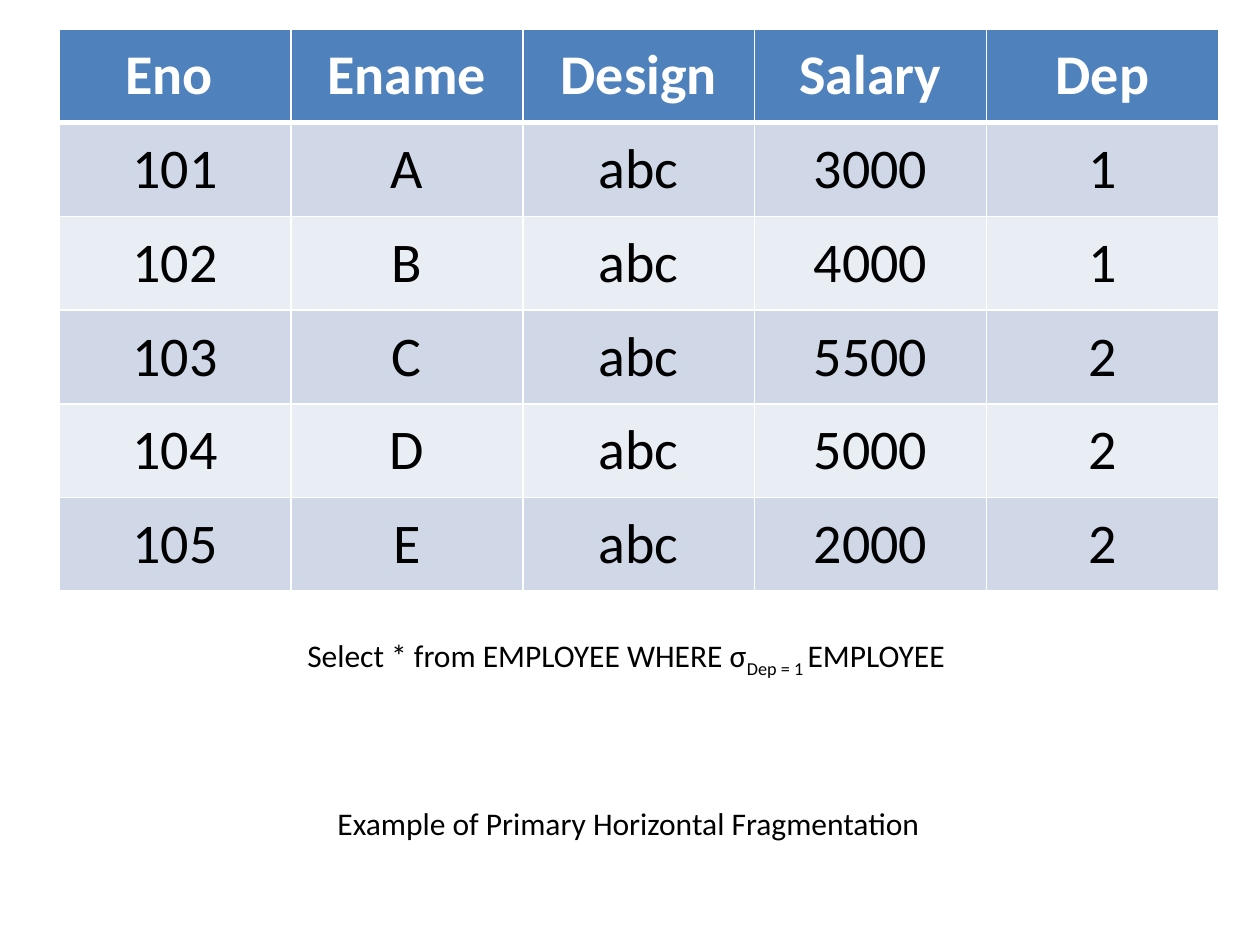
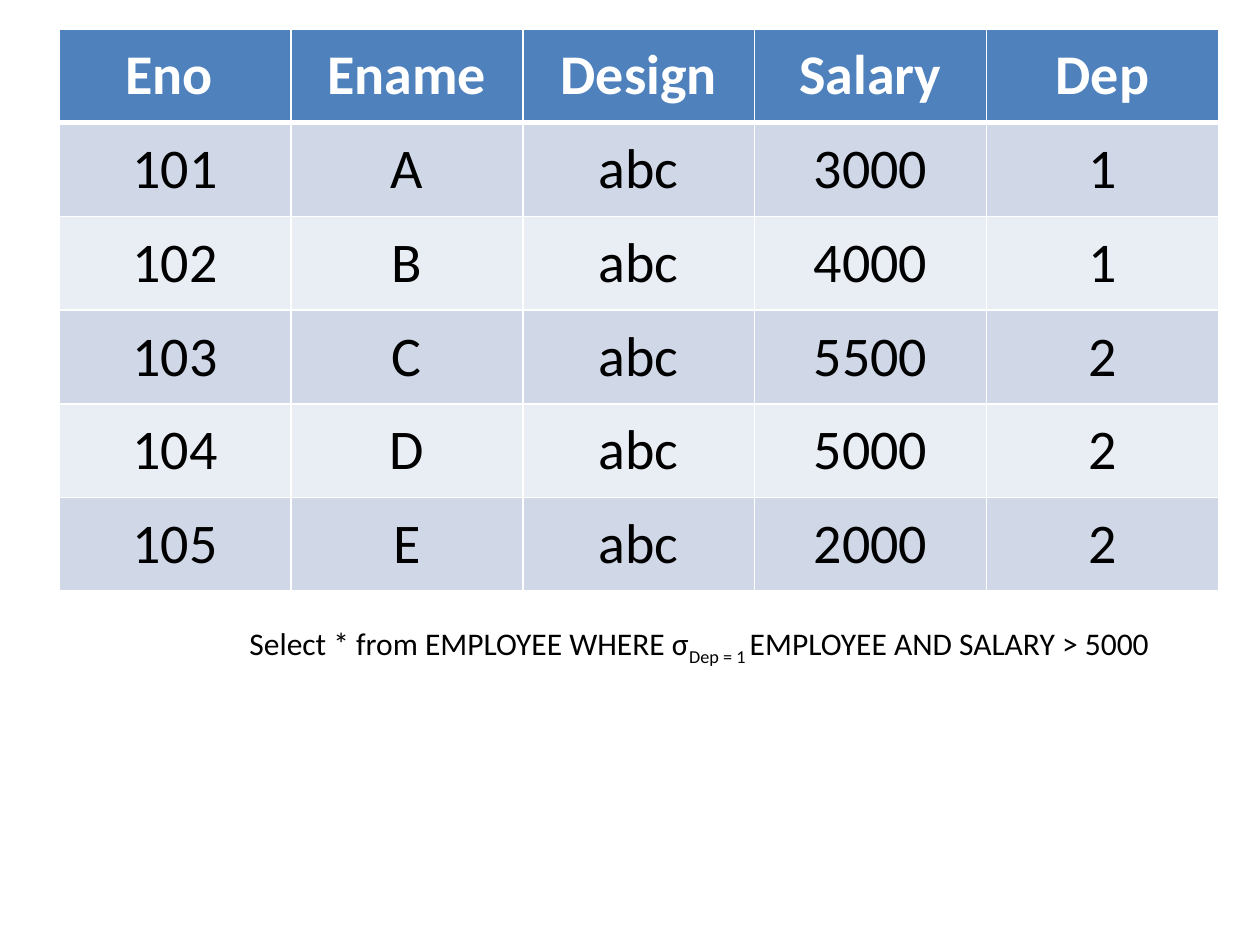
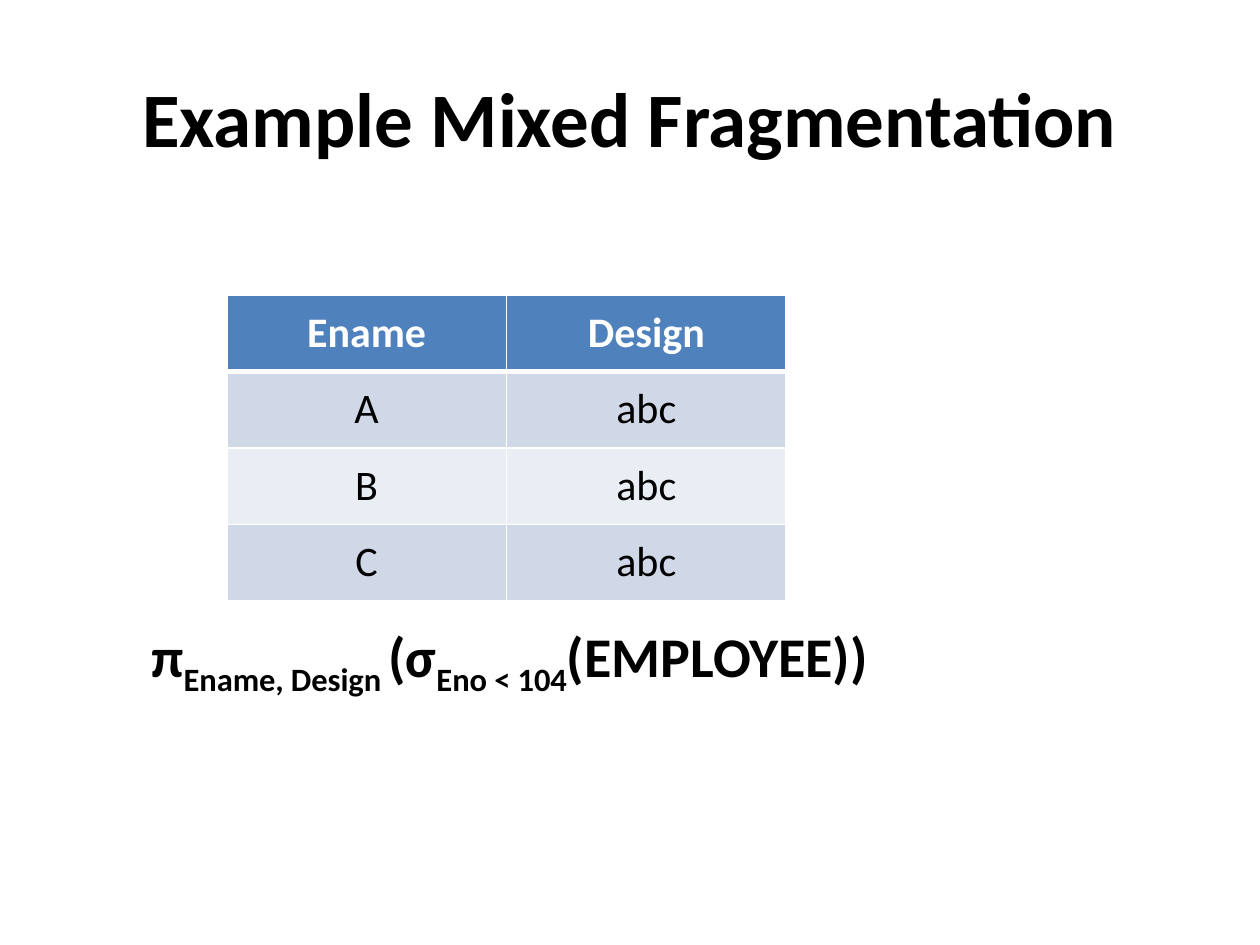
from lxml.etree import SubElement
from pptx import Presentation
from pptx.dml.color import RGBColor
from pptx.enum.text import MSO_ANCHOR, MSO_AUTO_SIZE, PP_ALIGN
from pptx.oxml.ns import qn
from pptx.util import Inches, Pt

FONT = "Calibri"
BLACK = RGBColor(0x00, 0x00, 0x00)
WHITE = RGBColor(0xFF, 0xFF, 0xFF)
HEADER_BLUE = RGBColor(0x4F, 0x81, 0xBD)
BAND_DARK = RGBColor(0xD0, 0xD8, 0xE8)
BAND_LIGHT = RGBColor(0xE9, 0xED, 0xF4)

TITLE_AND_CONTENT = 1
BLANK = 6

EMPLOYEES = [
    ["Eno ", "Ename", "Design", "Salary", "Dep"],
    ["101", "A", "abc", "3000", "1"],
    ["102", "B", "abc", "4000", "1"],
    ["103", "C", "abc", "5500", "2"],
    ["104", "D", "abc", "5000", "2"],
    ["105", "E", "abc", "2000", "2"],
]
MIXED_FRAGMENT = [row[1:3] for row in EMPLOYEES[:4]]


def style_paragraph(paragraph, size, color=BLACK, bold=False):
    font = paragraph.font
    font.name = FONT
    font.size = Pt(size)
    font.bold = bold
    font.color.rgb = color


def add_spans(paragraph, spans):
    for position, text in enumerate(spans):
        span = paragraph.add_run()
        span.text = text
        if position % 2:
            span.font._element.set("baseline", "-25000")


def add_border(cell, side, width):
    line = SubElement(cell._tc.get_or_add_tcPr(), qn(f"a:ln{side}"), w=str(Pt(width)))
    fill = SubElement(line, qn("a:solidFill"))
    SubElement(fill, qn("a:srgbClr"), val=str(WHITE))


def style_cell(cell, text, row, size):
    header = row == 0
    for side, thick_row in (("L", None), ("R", None), ("T", 1), ("B", 0)):
        add_border(cell, side, 3 if row == thick_row else 1)
    cell.fill.solid()
    cell.fill.fore_color.rgb = HEADER_BLUE if header else (BAND_LIGHT, BAND_DARK)[row % 2]
    cell.vertical_anchor = MSO_ANCHOR.MIDDLE
    cell.margin_left = cell.margin_right = Inches(0.07)
    cell.margin_top = cell.margin_bottom = Inches(0.1)
    cell.text = text
    paragraph = cell.text_frame.paragraphs[0]
    paragraph.alignment = PP_ALIGN.CENTER
    style_paragraph(paragraph, size, WHITE if header else BLACK, header)


def add_grid(page, records, left, top, column_width, row_height, size):
    rows, columns = len(records), len(records[0])
    table = page.shapes.add_table(
        rows, columns, Inches(left), Inches(top),
        Inches(column_width * columns), Inches(row_height * rows),
    ).table
    for row, record in enumerate(records):
        for column, text in enumerate(record):
            style_cell(table.cell(row, column), text, row, size)


def add_employee_table(page):
    add_grid(page, EMPLOYEES, 0.47, 0.23, 1.84, 0.73, 32)


def add_text_line(page, left, top, width, spans):
    box = page.shapes.add_textbox(Inches(left), Inches(top), Inches(width), Inches(0.4))
    box.text_frame.word_wrap = False
    paragraph = box.text_frame.paragraphs[0]
    style_paragraph(paragraph, 18)
    add_spans(paragraph, spans)


def fill_title(page, text):
    title = page.shapes.title
    title.text = text
    style_paragraph(title.text_frame.paragraphs[0], 44, bold=True)


def fill_body(page, spans, top_margin, indent, size, bold=False):
    body = page.placeholders[1]
    body.left, body.top = Inches(0.5), Inches(1.75)
    body.width, body.height = Inches(9), Inches(4.95)
    frame = body.text_frame
    frame.auto_size = MSO_AUTO_SIZE.NONE
    frame.margin_top = Inches(top_margin)
    paragraph = frame.paragraphs[0]
    paragraph.space_before = Pt(0)
    properties = paragraph._p.get_or_add_pPr()
    properties.set("marL", str(Inches(indent)))
    properties.set("indent", "0")
    SubElement(properties, qn("a:buNone"))
    style_paragraph(paragraph, size, bold=bold)
    add_spans(paragraph, spans)


def build_primary_fragmentation(deck):
    page = deck.slides.add_slide(deck.slide_layouts[BLANK])
    add_employee_table(page)
    add_text_line(page, 2.34, 5, 5.39,
                  ["Select * from EMPLOYEE WHERE σ", "Dep = 1 ", "EMPLOYEE"])
    add_text_line(page, 2.58, 6.33, 4.87, ["Example of Primary Horizontal Fragmentation"])


def build_salary_query(deck):
    page = deck.slides.add_slide(deck.slide_layouts[TITLE_AND_CONTENT])
    title = page.shapes.title._element
    title.getparent().remove(title)
    fill_body(page, ["Select * from EMPLOYEE WHERE σ", "Dep = 1 ",
                     "EMPLOYEE AND SALARY > 5000"], 3.2, 1.38, 18)
    add_employee_table(page)


def build_mixed_fragmentation(deck):
    page = deck.slides.add_slide(deck.slide_layouts[TITLE_AND_CONTENT])
    fill_title(page, "Example Mixed Fragmentation")
    fill_body(page, ["π", "Ename, Design ", "(σ", "Eno < 104", "(EMPLOYEE))"],
              3.18, 0.6, 32, bold=True)
    add_grid(page, MIXED_FRAGMENT, 1.8, 2.34, 2.22, 0.6, 24)


def main():
    deck = Presentation()
    deck.slide_width, deck.slide_height = Inches(10), Inches(7.5)
    build_primary_fragmentation(deck)
    build_salary_query(deck)
    build_mixed_fragmentation(deck)
    deck.save("out.pptx")


if __name__ == "__main__":
    main()
